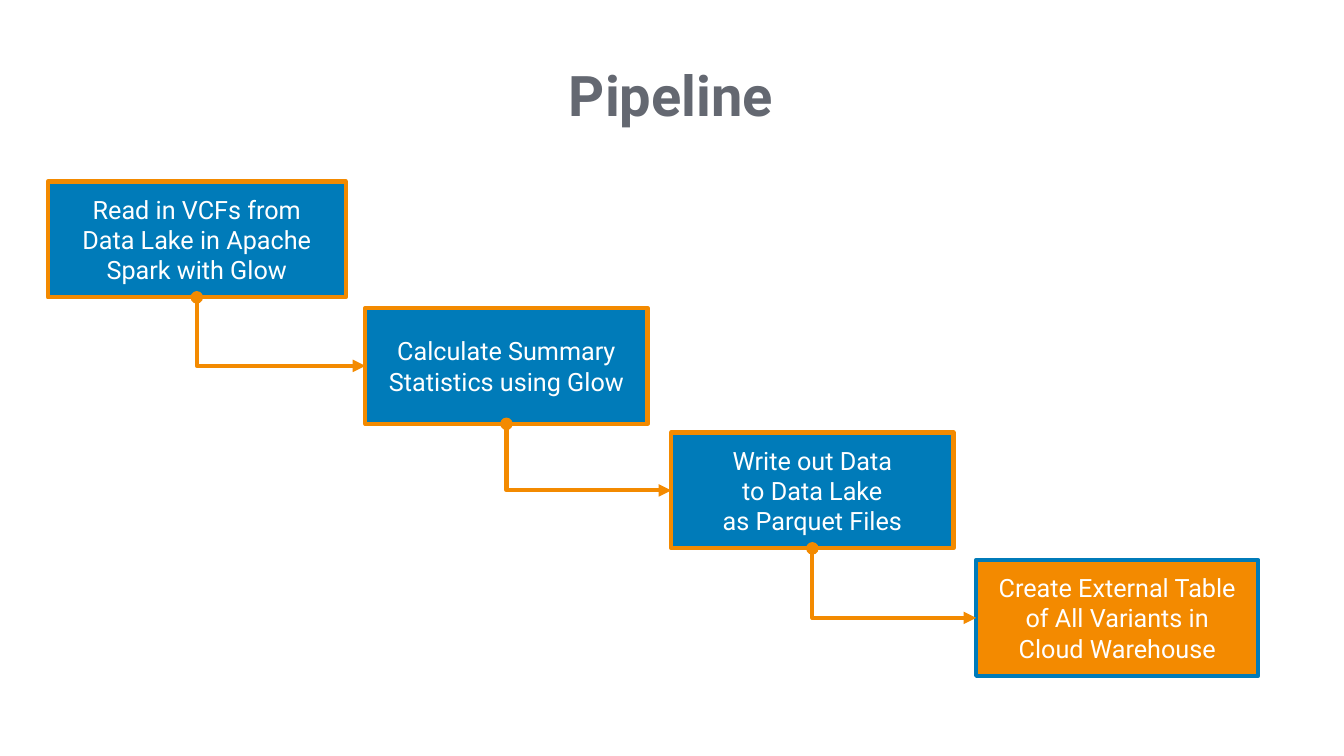
from pptx import Presentation
from pptx.dml.color import RGBColor
from pptx.enum.shapes import MSO_CONNECTOR, MSO_SHAPE
from pptx.enum.text import MSO_ANCHOR, PP_ALIGN
from pptx.oxml.ns import qn
from pptx.util import Inches, Pt
from lxml import etree

BLUE = RGBColor(0x00, 0x7B, 0xB9)
ORANGE = RGBColor(0xF3, 0x8A, 0x00)
GREY = RGBColor(0x64, 0x68, 0x71)
WHITE = RGBColor(0xFF, 0xFF, 0xFF)

BOTTOM, LEFT = 2, 1
STEP_HEIGHT = 2.3

# left, top, width, fill, outline, lines of text
STEPS = [
    (0.95, 3.6, 5.91, BLUE, ORANGE,
     ["Read in VCFs from", "Data Lake in Apache Spark with Glow"]),
    (7.25, 6.11, 5.6, BLUE, ORANGE,
     ["Calculate Summary Statistics using Glow"]),
    (13.32, 8.58, 5.6, BLUE, ORANGE,
     ["Write out Data", "to Data Lake", "as Parquet Files"]),
    (19.37, 11.11, 5.6, ORANGE, BLUE,
     ["Create External Table", "of All Variants in", "Cloud Warehouse"]),
]


class PipelineSlide:
    font = "Roboto"
    line_width = Pt(6)

    def __init__(self, deck):
        self.slide = deck.slides.add_slide(deck.slide_layouts[6])

    def set_text(self, shape, lines, size, color, bold=False):
        frame = shape.text_frame
        frame.word_wrap = True
        frame.vertical_anchor = MSO_ANCHOR.MIDDLE
        frame.text = "\n".join(lines)
        for para in frame.paragraphs:
            para.alignment = PP_ALIGN.CENTER
            for span in para.runs:
                span.font.name = self.font
                span.font.size = Pt(size)
                span.font.bold = bold
                span.font.color.rgb = color

    def title(self, text):
        box = self.slide.shapes.add_textbox(
            Inches(0.74), Inches(0.94), Inches(25.15), Inches(2.01))
        self.set_text(box, [text], 80, GREY, bold=True)
        box.text_frame.paragraphs[0].line_spacing = 0.9

    def step(self, left, top, width, fill, outline, lines):
        box = self.slide.shapes.add_shape(
            MSO_SHAPE.RECTANGLE, Inches(left), Inches(top),
            Inches(width), Inches(STEP_HEIGHT))
        box.shadow.inherit = False
        box.fill.solid()
        box.fill.fore_color.rgb = fill
        box.line.color.rgb = outline
        box.line.width = self.line_width
        self.set_text(box, lines, 36, WHITE)
        return box

    def arrow(self, source, target):
        """Join two steps with a single bend: down, then right."""
        arrow = self.slide.shapes.add_connector(MSO_CONNECTOR.ELBOW, 0, 0, 0, 0)
        arrow.begin_connect(source, BOTTOM)
        arrow.end_connect(target, LEFT)
        arrow.line.color.rgb = ORANGE
        arrow.line.width = self.line_width

        # A one-bend connector starts sideways, so it is turned and mirrored.
        across, down = arrow.width, arrow.height
        shift = (across - down) // 2
        arrow.left, arrow.top = arrow.left + shift, arrow.top - shift
        arrow.width, arrow.height = down, across
        properties = arrow._element.spPr
        properties.find(qn("a:prstGeom")).set("prst", "bentConnector2")
        frame = properties.find(qn("a:xfrm"))
        frame.set("rot", str(270 * 60000))
        frame.set("flipH", "1")

        line = properties.find(qn("a:ln"))
        etree.SubElement(line, qn("a:headEnd"), type="oval")
        etree.SubElement(line, qn("a:tailEnd"), type="triangle")
        etree.SubElement(properties, qn("a:effectLst"))


def main():
    deck = Presentation()
    deck.slide_width = Inches(26.67)
    deck.slide_height = Inches(15)
    page = PipelineSlide(deck)
    page.title("Pipeline")
    boxes = [page.step(*step) for step in STEPS]
    for source, target in zip(boxes, boxes[1:]):
        page.arrow(source, target)
    deck.save("out.pptx")


if __name__ == "__main__":
    main()
